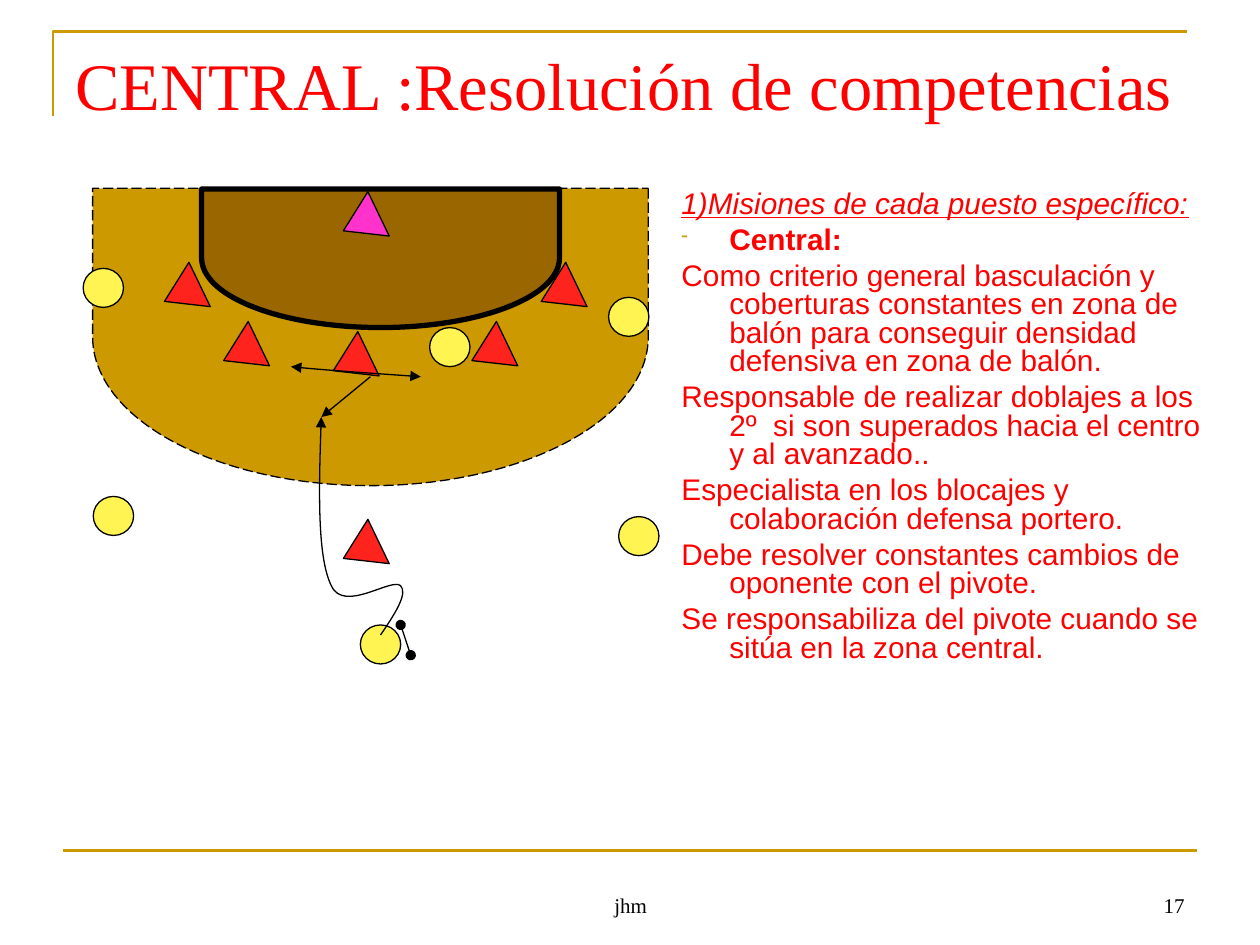
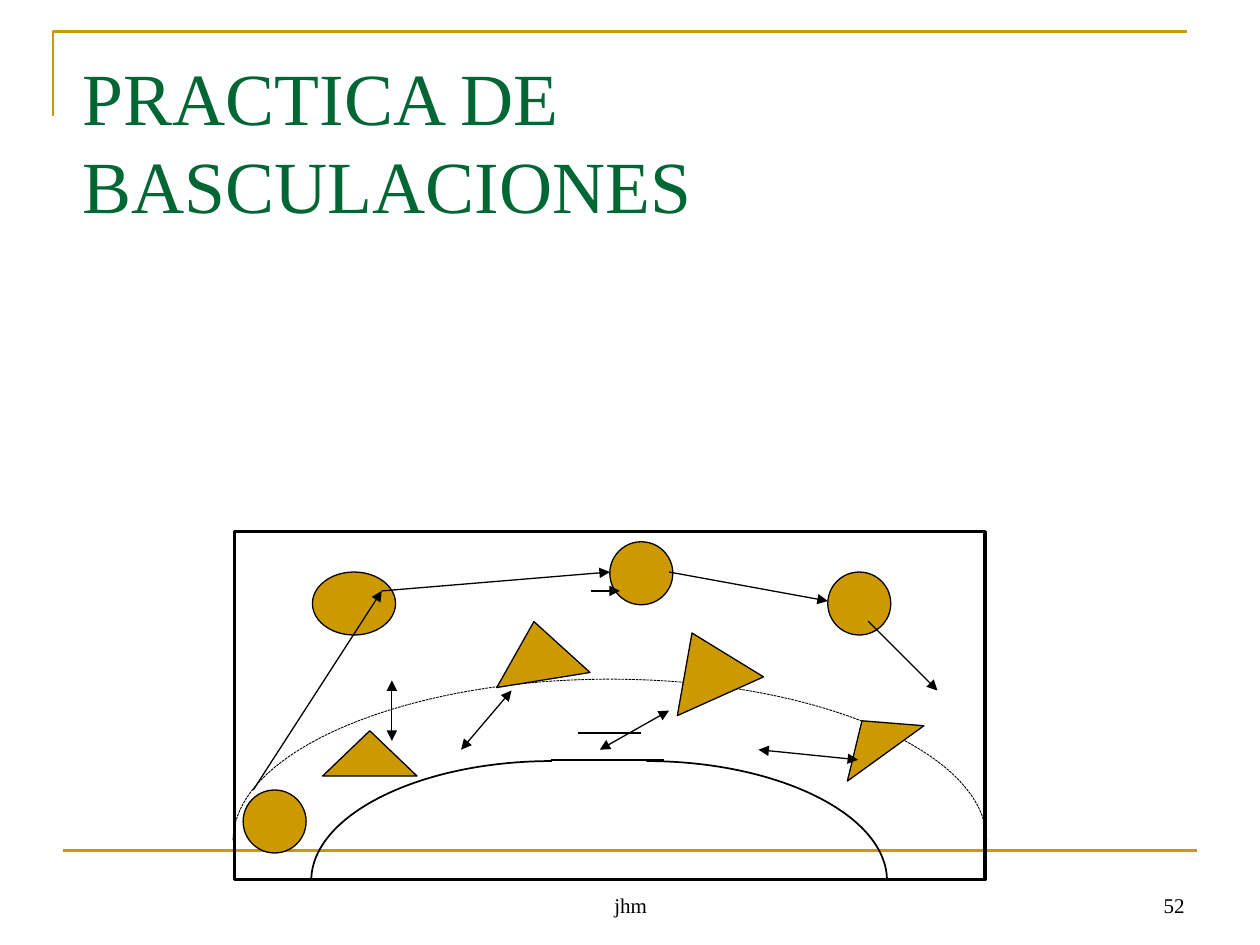
from dataclasses import dataclass

from lxml.etree import SubElement
from pptx import Presentation
from pptx.dml.color import RGBColor
from pptx.enum.dml import MSO_LINE
from pptx.enum.shapes import MSO_CONNECTOR, MSO_SHAPE
from pptx.enum.text import MSO_ANCHOR, PP_ALIGN
from pptx.oxml.ns import qn
from pptx.util import Pt

PX = 9144  # EMU per px, 100 px to the inch
GOLD, BROWN, RED, BLACK = "CC9900", "996600", "FF0000", "000000"
GREEN, YELLOW, DEFENDER, KEEPER = "006633", "FFF452", "FF231E", "FF33CC"
SERIF, SANS = "Times New Roman", "Arial"


@dataclass(frozen=True)
class Box:
    x: int
    y: int
    w: int
    h: int


@dataclass(frozen=True)
class Stroke:
    color: str = BLACK
    width: float = 0.75
    dash: MSO_LINE | None = None
    head: str = ""
    tail: str = ""


@dataclass(frozen=True)
class Token:
    kind: MSO_SHAPE
    box: Box
    fill: str
    rotation: float = 0
    stroke: Stroke = Stroke()


@dataclass(frozen=True)
class Move:
    start: tuple[int, int]
    end: tuple[int, int]
    stroke: Stroke


THIN = Stroke()
GOLD_LINE = Stroke(GOLD, 1.5)
ARROW = Stroke(tail="triangle")
TWO_WAY = Stroke(head="triangle", tail="triangle")
DOTS = Stroke(head="oval", tail="oval")


# Drawing helpers
def rgb(value: str) -> RGBColor:
    return RGBColor.from_string(value)


def emu(*lengths: int) -> list[int]:
    return [n * PX for n in lengths]


def apply_stroke(sp, stroke: Stroke) -> None:
    sp.line.color.rgb = rgb(stroke.color)
    sp.line.width = Pt(stroke.width)
    if stroke.dash is not None:
        sp.line.dash_style = stroke.dash
    ln = sp.line._get_or_add_ln()
    for tag, kind in (("a:headEnd", stroke.head), ("a:tailEnd", stroke.tail)):
        if kind:
            SubElement(ln, qn(tag), type=kind)


def add_token(s, token: Token) -> None:
    b = token.box
    sp = s.shapes.add_shape(token.kind, *emu(b.x, b.y, b.w, b.h))
    sp.rotation = token.rotation
    sp.shadow.inherit = False
    if token.fill:
        sp.fill.solid()
        sp.fill.fore_color.rgb = rgb(token.fill)
    else:
        sp.fill.background()
    apply_stroke(sp, token.stroke)


def add_move(s, move: Move) -> None:
    cxn = s.shapes.add_connector(MSO_CONNECTOR.STRAIGHT, *emu(*move.start, *move.end))
    apply_stroke(cxn, move.stroke)
    SubElement(cxn._element.spPr, qn("a:effectLst"))


def add_outline(s, points: list[tuple[int, int]], stroke: Stroke, curved: bool = True) -> None:
    """Open outline; when curved, each three points after the first make one Bézier."""
    builder = s.shapes.build_freeform(*points[0], scale=PX)
    builder.add_line_segments(points[1:], close=False)
    sp = builder.convert_to_shape()
    sp.fill.background()
    sp.shadow.inherit = False
    apply_stroke(sp, stroke)
    if not curved:
        return
    segments = list(sp._element.iter(qn("a:lnTo")))
    for i in range(0, len(segments), 3):
        parent = segments[i].getparent()
        curve = SubElement(parent, qn("a:cubicBezTo"))
        for segment in segments[i:i + 3]:
            curve.append(segment[0])
            parent.remove(segment)


def add_quarter(s, cx: int, base: int, rx: int, ry: int, stroke: Stroke) -> None:
    """Quarter ellipse from its side to its top; negative rx goes left."""
    k = 0.55
    add_outline(s, [(cx + rx, base), (cx + rx, round(base - k * ry)),
                    (round(cx + k * rx), base - ry), (cx, base - ry)], stroke)


def add_text_frame(s, box: Box, anchor=MSO_ANCHOR.TOP):
    tf = s.shapes.add_textbox(*emu(box.x, box.y, box.w, box.h)).text_frame
    tf.word_wrap = True
    tf.vertical_anchor = anchor
    return tf


def write(p, text: str, *, size: float, color: str = BLACK, font: str = SERIF,
          bold: bool = False, italic: bool = False, underline: bool = False,
          align=PP_ALIGN.LEFT) -> None:
    p.alignment = align
    r = p.add_run()
    r.text = text
    r.font.size, r.font.name = Pt(size), font
    r.font.bold, r.font.italic, r.font.underline = bold, italic, underline
    r.font.color.rgb = rgb(color)


def hang(p, bullet: str = "") -> None:
    p.line_spacing = 0.8
    p.space_before = Pt(4.2)
    pPr = p._p.get_or_add_pPr()
    pPr.set("marL", str(38 * PX))
    pPr.set("indent", str(-38 * PX))
    if bullet:
        SubElement(SubElement(pPr, qn("a:buClr")), qn("a:srgbClr"), val=GOLD)
        SubElement(pPr, qn("a:buSzPct"), val="65000")
        SubElement(pPr, qn("a:buChar"), char=bullet)
    else:
        SubElement(pPr, qn("a:buNone"))


# Shared frame, title and footer
def new_slide(prs, title: str, box: Box, size: int, color: str):
    s = prs.slides.add_slide(prs.slide_layouts[6])
    add_outline(s, [(42, 92), (42, 25), (942, 25)], GOLD_LINE, curved=False)
    add_move(s, Move((50, 675), (950, 675), GOLD_LINE))
    write(add_text_frame(s, box).paragraphs[0], title, size=size, color=color)
    return s


def add_footer(s, number: int) -> None:
    for text, x, w, align in (("jhm", 342, 317, PP_ALIGN.CENTER),
                              (str(number), 717, 233, PP_ALIGN.RIGHT)):
        tf = add_text_frame(s, Box(x, 683, w, 50), MSO_ANCHOR.BOTTOM)
        write(tf.paragraphs[0], text, size=12, align=align)


# Slide 1: the central defender
MISSIONS = [
    "Como criterio general basculación y coberturas constantes en zona de balón "
    "para conseguir densidad defensiva en zona de balón.",
    "Responsable de realizar doblajes a los 2º  si son superados hacia el centro y al avanzado..",
    "Especialista en los blocajes y colaboración defensa portero.",
    "Debe resolver constantes cambios de oponente con el pivote.",
    "Se responsabiliza del pivote cuando se sitúa en la zona central.",
]
AREAS = [
    Token(MSO_SHAPE.FLOWCHART_DELAY, Box(176, 47, 236, 441), GOLD, 90,
          Stroke(dash=MSO_LINE.LONG_DASH)),
    Token(MSO_SHAPE.FLOWCHART_DELAY, Box(247, 63, 110, 284), BROWN, 90, Stroke(width=3)),
]
ATTACKERS = [(66, 213), (74, 394), (341, 260), (483, 236), (491, 410), (286, 496)]
DEFENDERS = [(125, 217), (172, 264), (259, 272), (267, 421), (369, 264), (424, 217)]


def build_central(prs) -> None:
    s = new_slide(prs, "CENTRAL :Resolución de competencias", Box(50, 30, 900, 77), 38, RED)

    tf = add_text_frame(s, Box(531, 147, 442, 452))
    body = dict(size=17, color=RED, font=SANS)
    p = tf.paragraphs[0]
    hang(p)
    write(p, "1)Misiones de cada puesto específico:", italic=True, underline=True, **body)
    p = tf.add_paragraph()
    hang(p, "-")
    write(p, "Central:", bold=True, **body)
    for mission in MISSIONS:
        p = tf.add_paragraph()
        hang(p)
        write(p, mission, **body)

    # Court and players
    players = [Token(MSO_SHAPE.OVAL, Box(x, y, 32, 31), YELLOW) for x, y in ATTACKERS]
    triangles = [(x, y, DEFENDER) for x, y in DEFENDERS] + [(267, 161, KEEPER)]
    players += [Token(MSO_SHAPE.ISOSCELES_TRIANGLE, Box(x, y, 39, 31), fill, 244.3)
                for x, y, fill in triangles]
    for token in AREAS + players:
        add_token(s, token)

    # Movements
    add_move(s, Move((318, 496), (326, 520), DOTS))
    add_outline(s, [(334, 299), (291, 296), (248, 293), (231, 291)], TWO_WAY)
    add_outline(s, [(302, 504), (313, 488), (324, 471), (318, 465),
                    (311, 458), (273, 487), (263, 465),
                    (252, 443), (253, 387), (255, 331)], ARROW)
    add_move(s, Move((294, 299), (255, 331), ARROW))
    add_footer(s, 17)


# Slide 2: shifting drill
DRILL_DEFENDERS = [
    (Box(256, 580, 75, 36), 0),
    (Box(390, 493, 75, 47), 350.8),
    (Box(523, 500, 75, 55), 335.8),
    (Box(656, 569, 75, 32), 324.1),
]
DRILL_ATTACKERS = [Box(248, 454, 66, 50), Box(484, 430, 50, 50),
                   Box(657, 454, 50, 50), Box(193, 627, 50, 50)]
PASSES = [((201, 627), (303, 469)), ((469, 469), (492, 469)), ((303, 469), (484, 454)),
          ((531, 454), (657, 477)), ((689, 493), (744, 548))]
SHIFTS = [((681, 603), (602, 595)), ((531, 564), (476, 595)),
          ((406, 548), (366, 595)), ((311, 588), (311, 540))]


def build_drill(prs) -> None:
    s = new_slide(prs, "PRACTICA DE BASCULACIONES", Box(56, 36, 888, 113), 42, GREEN)

    # Court
    court_line = Stroke(width=1)
    dashed = Stroke(width=0.5, dash=MSO_LINE.SQUARE_DOT)
    add_quarter(s, 513, 699, 191, 95, court_line)
    add_quarter(s, 438, 699, -191, 95, court_line)
    add_move(s, Move((437, 603), (527, 603), court_line))
    add_token(s, Token(MSO_SHAPE.RECTANGLE, Box(186, 422, 596, 276), "", stroke=Stroke(width=2)))
    for rx in (299, -299):
        add_quarter(s, 484, 667, rx, 128, dashed)
    add_move(s, Move((459, 582), (509, 582), court_line))

    # Players
    for box, rotation in DRILL_DEFENDERS:
        add_token(s, Token(MSO_SHAPE.FLOWCHART_EXTRACT, box, GOLD, rotation))
    for box in DRILL_ATTACKERS:
        add_token(s, Token(MSO_SHAPE.FLOWCHART_CONNECTOR, box, GOLD))

    # Movements
    for moves, stroke in ((PASSES, ARROW), (SHIFTS, TWO_WAY)):
        for start, end in moves:
            add_move(s, Move(start, end, stroke))
    add_footer(s, 52)


def main() -> None:
    prs = Presentation()
    prs.slide_width, prs.slide_height = emu(1000, 750)
    build_central(prs)
    build_drill(prs)
    prs.save("out.pptx")


if __name__ == "__main__":
    main()
